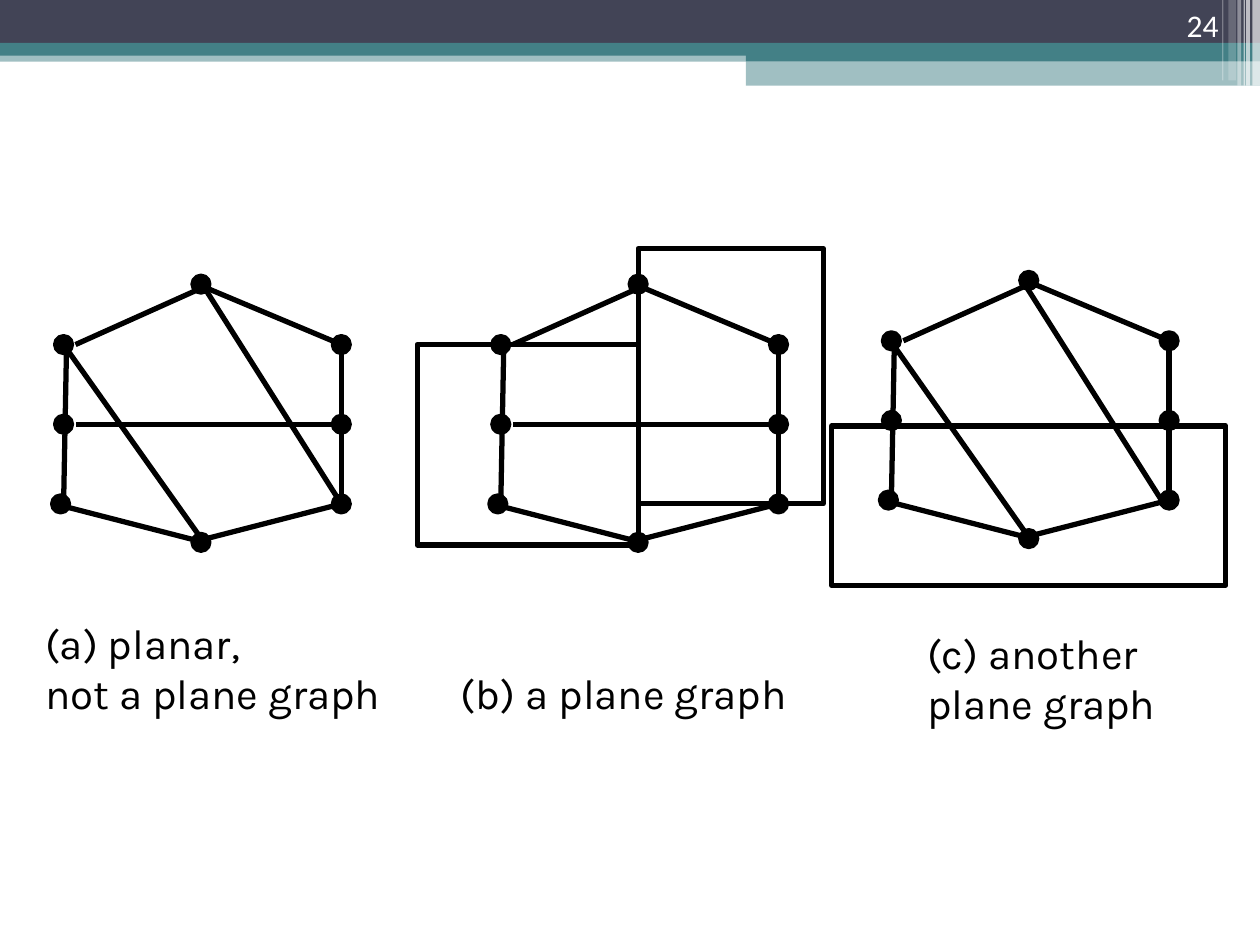
from dataclasses import dataclass
from lxml.etree import SubElement
from pptx import Presentation
from pptx.dml.color import RGBColor
from pptx.enum.shapes import MSO_CONNECTOR as CONN, MSO_SHAPE as SHAPE
from pptx.enum.text import MSO_ANCHOR as ANCHOR, PP_ALIGN as ALIGN
from pptx.oxml.ns import qn
from pptx.util import Inches, Pt

BLACK, WHITE, TEAL, SLATE = "000000", "FFFFFF", "438086", "424456"
DOT = 0.14

# Points and boxes are shares of the graph's box.
NODES = [(0.5, 0.03), (0.04, 0.25), (0.04, 0.54), (0.03, 0.83),
         (0.5, 0.97), (0.97, 0.25), (0.97, 0.54), (0.97, 0.83)]
TOP, BOTTOM, UPPER_RIGHT, LOWER_RIGHT = (0.51, 0.04), (0.51, 0.97), (0.97, 0.25), (0.97, 0.83)
OUTLINE = [((0.05, 0.25), (0.04, 0.83)), (TOP, (0.08, 0.25)), (TOP, UPPER_RIGHT),
           ((0.01, 0.83), BOTTOM), (LOWER_RIGHT, (0.47, 0.97)), (UPPER_RIGHT, LOWER_RIGHT)]
MIDDLE = ((0.97, 0.54), (0.08, 0.54))


@dataclass
class Box:
    left: float
    top: float
    width: float
    height: float

    def point(self, x, y):
        return self.left + x * self.width, self.top + y * self.height

    def inner(self, x, y, width, height):
        return Box(*self.point(x, y), width * self.width, height * self.height)

    def emu(self):
        return [Inches(v) for v in (self.left, self.top, self.width, self.height)]


def color(hex_code):
    return RGBColor.from_string(hex_code)


def add_shape(s, kind, box, fill=None, line=None, width=3, alpha=100):
    """Add a preset shape; fill or line of None means none, alpha is in percent."""
    sp = s.shapes.add_shape(kind, *box.emu())
    sp.shadow.inherit = False
    if fill:
        sp.fill.solid()
        sp.fill.fore_color.rgb = color(fill)
        if alpha < 100:
            clr = sp._element.spPr.find(qn("a:solidFill"))[0]
            SubElement(clr, qn("a:alpha"), val=str(alpha * 1000))
    else:
        sp.fill.background()
    if line:
        sp.line.color.rgb = color(line)
        sp.line.width = Pt(width)
    else:
        sp.line.fill.background()


def add_edge(s, box, start, end):
    ends = [Inches(v) for v in (*box.point(*start), *box.point(*end))]
    edge = s.shapes.add_connector(CONN.STRAIGHT, *ends)
    edge.line.color.rgb = color(BLACK)
    edge.line.width = Pt(3)
    SubElement(edge._element.spPr, qn("a:effectLst"))


def add_text(s, box, text, wrap=True, anchor=ANCHOR.TOP, align=ALIGN.LEFT,
             ink=BLACK, **font):
    tf = s.shapes.add_textbox(*box.emu()).text_frame
    for name, value in {"word_wrap": wrap, "vertical_anchor": anchor}.items():
        setattr(tf, name, value)
    p = tf.paragraphs[0]
    p.text = text
    p.alignment = align
    for r in p.runs:
        r.font.color.rgb = color(ink)
        for name, value in font.items():
            setattr(r.font, name, value)


def draw_header(s, box):
    """Draw the bands, the stripes at their right end and the page number."""
    for x, y, height, fill, alpha in [
            (0, 0.59, 0.13, TEAL, 50), (0, 0, 0.5, SLATE, 100), (0, 0.5, 0.15, TEAL, 100),
            (5.92, 0.57, 0.14, TEAL, 100), (5.92, 0.71, 0.29, TEAL, 50)]:
        share = x / box.width
        add_shape(s, SHAPE.RECTANGLE, box.inner(share, y, 1 - share, height),
                  fill, alpha=alpha)
    for left, width, share, alpha in [
            (9.94, 0.06, 1, 65), (9.89, 0.03, 1, 65), (9.87, 0.01, 1, 60),
            (9.82, 0.03, 1, 40), (9.75, 0.06, 0.94, 20), (9.7, 0.01, 0.94, 30)]:
        stripe = Box(box.left + left, box.top, width, share * box.height)
        add_shape(s, SHAPE.RECTANGLE, stripe, WHITE, alpha=alpha)
    add_text(s, Box(box.left + 8.94, box.top, 0.83, 0.4), "24", anchor=ANCHOR.BOTTOM,
             align=ALIGN.RIGHT, ink=WHITE, name="Calibri", size=Pt(18))


def draw_graph(s, box, extra_edges=(), loops=()):
    """Draw the common outline, the graph's own edges and its rectangular detours."""
    for start, end in [*OUTLINE, *extra_edges]:
        add_edge(s, box, start, end)
    for node in NODES:
        x, y = box.point(*node)
        dot = Box(x - DOT / 2, y - DOT / 2, DOT, DOT)
        add_shape(s, SHAPE.OVAL, dot, BLACK, BLACK, 2)
    for loop in loops:
        add_shape(s, SHAPE.RECTANGLE, box.inner(*loop), line=BLACK)


def main():
    prs = Presentation()
    prs.slide_width, prs.slide_height = Inches(10), Inches(7.5)
    s = prs.slides.add_slide(prs.slide_layouts[6])
    draw_header(s, Box(0, 0, 10, 0.68))

    graphs = [
        (0.41, 2.19, [MIDDLE, ((0.04, 0.25), BOTTOM), (TOP, LOWER_RIGHT)], [],
         "(a) planar,\vnot a plane graph", Box(0.26, 4.85, 3.17, 0.9), False),
        (3.88, 2.19, [MIDDLE], [(0.5, -0.1, 0.62, 0.93), (-0.24, 0.25, 0.74, 0.73)],
         "(b) a plane graph", Box(3.56, 5.25, 3.1, 0.5), False),
        (6.98, 2.16, [((0.05, 0.27), (0.49, 0.95)), ((0.49, 0.05), (0.95, 0.84))],
         [(-0.16, 0.56, 1.32, 0.58)],
         "(c) another\vplane graph", Box(7.26, 4.93, 2.13, 1.3), True)]
    for left, top, edges, loops, caption, caption_box, wrap in graphs:
        draw_graph(s, Box(left, top, 2.37, 2.18), edges, loops)
        add_text(s, caption_box, caption, wrap, name="Karla", size=Pt(24))
    prs.save("out.pptx")


if __name__ == "__main__":
    main()
